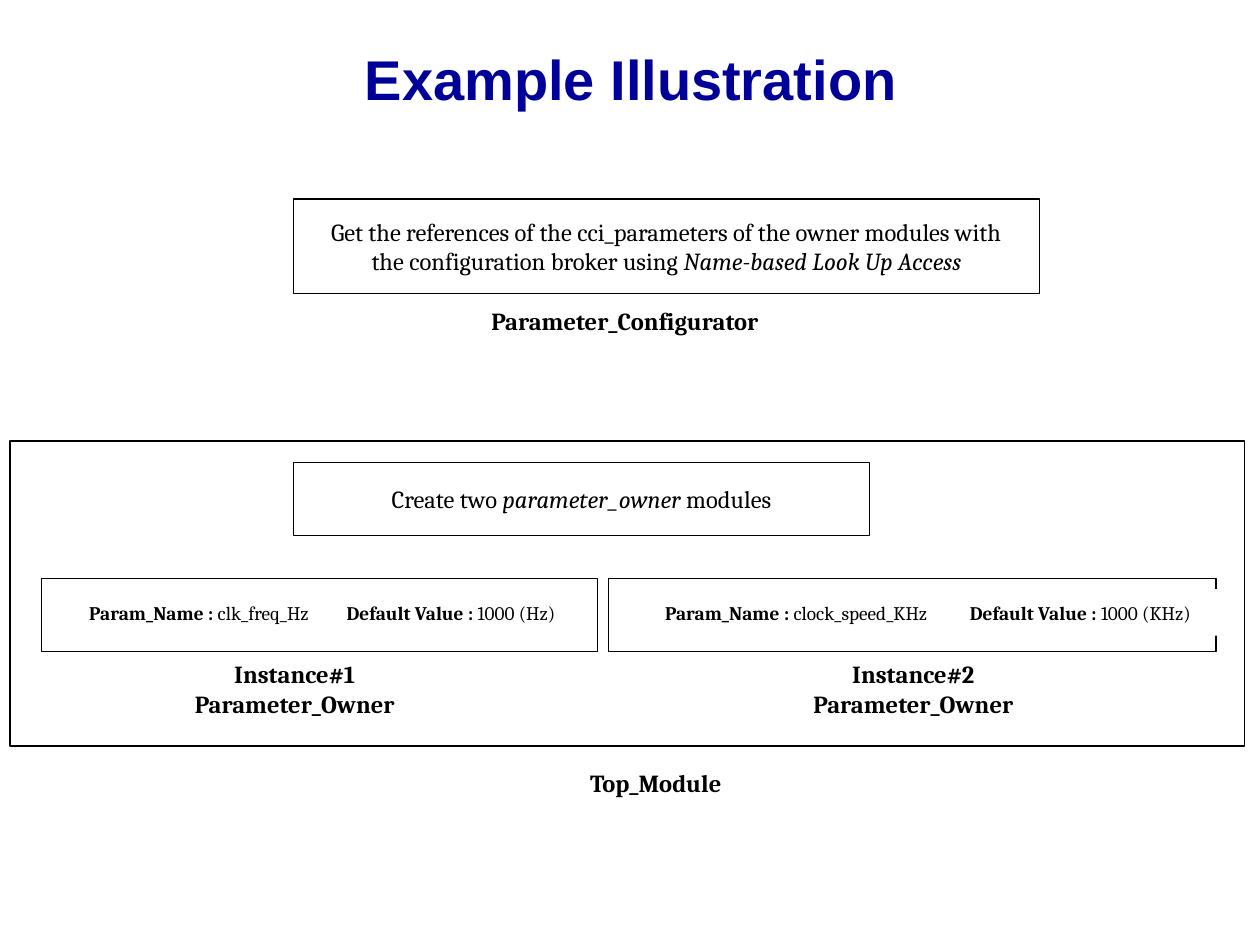
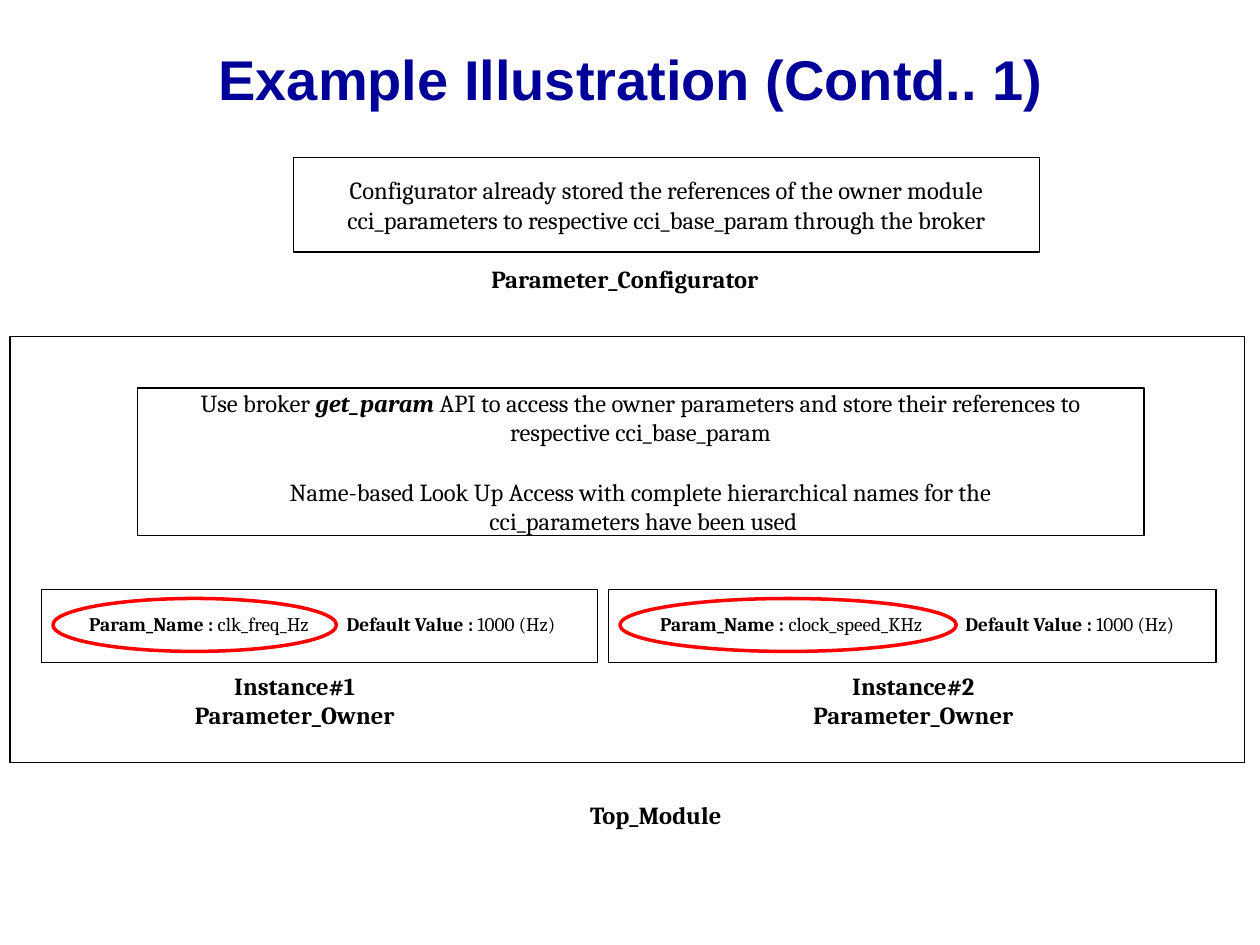
from dataclasses import dataclass
from pptx import Presentation
from pptx.dml.color import RGBColor
from pptx.enum.shapes import MSO_SHAPE as Shape
from pptx.enum.text import MSO_ANCHOR as Anchor, MSO_AUTO_SIZE as AutoSize, PP_ALIGN as Align
from pptx.util import Inches, Pt


@dataclass(frozen=True)
class Theme:
    title_color = RGBColor(0x00, 0x00, 0x99)
    ink = RGBColor(0, 0, 0)
    paper = RGBColor(255, 255, 255)
    highlight = RGBColor(255, 0, 0)
    title_font = "Arial"
    body_font = "Cambria"
    title_size = 32
    body_size = 14
    param_size = 11
    border = 0.75
    highlight_border = 2
    paragraph_gap = 17


THEME = Theme()

OWNERS = [
    dict(instance="Instance#1", param="clk_freq_Hz", left=0.33, width=4.41,
         name_left=0.49, value_left=2.58, caption_left=1.34,
         text_drop=0.11, text_height=0.33, ring=(0.42, 2.25)),
    dict(instance="Instance#2", param="clock_speed_KHz", left=4.83, width=4.82,
         name_left=4.98, value_left=7.49, caption_left=6.25,
         text_drop=0.085, text_height=0.37, ring=(4.92, 2.67)),
]

SLIDES = [
    dict(
        title="Example Illustration",
        configurator_top=1.58,
        configurator=[[
            ("Get the references of the cci_parameters of the owner modules with\n"
             "the configuration broker using ", ""),
            ("Name-based Look Up Access", "i"),
        ]],
        module=(3.5, 2.42),
        module_label=(6.01, 0.41),
        action_box=(2.33, 3.67, 4.57, 0.58),
        action=[[("Create two ", ""), ("parameter_owner", "i"), (" modules", "")]],
        owners_top=4.59,
        defaults=["1000 (Hz)", "1000 (KHz)"],
        name_widths=[2.18, 2.68],
        value_widths=[2, 2.17],
        highlighted=False,
    ),
    dict(
        title="Example Illustration (Contd.. 1)",
        configurator_top=1.25,
        configurator=[[
            ("Configurator already stored the references of the owner module\n"
             "cci_parameters to respective cci_base_param through the broker", ""),
        ]],
        module=(2.67, 3.38),
        module_label=(6.18, 0.57),
        action_box=(1.09, 3.08, 7.99, 1.17),
        action=[
            [("Use broker ", ""), ("get_param", "bi"),
             (" API to access the owner parameters and store their references to\n"
              "respective cci_base_param", "")],
            [("Name-based Look Up Access with complete hierarchical names for the\n"
              " cci_parameters have been used", "")],
        ],
        owners_top=4.68,
        defaults=["1000 (Hz)", "1000 (Hz)"],
        name_widths=[2.18, 2.6],
        value_widths=[2, 2],
        highlighted=True,
    ),
]


def write_run(paragraph, text, style, size, font=THEME.body_font, color=THEME.ink):
    for number, line in enumerate(text.split("\n")):
        if number:
            paragraph.add_line_break()
        run = paragraph.add_run()
        run.text = line
        run.font.name = font
        run.font.size = Pt(size)
        run.font.bold = "b" in style
        run.font.italic = "i" in style
        run.font.color.rgb = color


def set_frame(frame, wrap):
    frame.auto_size = AutoSize.NONE
    frame.word_wrap = wrap
    frame.vertical_anchor = Anchor.MIDDLE
    frame.margin_left = frame.margin_right = Inches(0.1)
    frame.margin_top = frame.margin_bottom = Inches(0.05)


def add_title(slide, text):
    title = slide.shapes.title
    title.left, title.top, title.width, title.height = map(Inches, (0.26, 0.16, 9.5, 1))
    set_frame(title.text_frame, True)
    paragraph = title.text_frame.paragraphs[0]
    paragraph.alignment = Align.CENTER
    paragraph.line_spacing = 0.85
    write_run(paragraph, text, "b", THEME.title_size, THEME.title_font, THEME.title_color)


def add_box(slide, place, paragraphs=(), size=THEME.body_size, bordered=True):
    box = slide.shapes.add_shape(Shape.ROUNDED_RECTANGLE, *map(Inches, place))
    box.adjustments[0] = 0
    box.shadow.inherit = False
    box.fill.solid()
    box.fill.fore_color.rgb = THEME.paper
    if bordered:
        box.line.color.rgb = THEME.ink
        box.line.width = Pt(THEME.border)
    else:
        box.line.fill.background()
    frame = box.text_frame
    set_frame(frame, not bordered)
    for number, runs in enumerate(paragraphs):
        paragraph = frame.add_paragraph() if number else frame.paragraphs[0]
        paragraph.alignment = Align.CENTER
        if number:
            paragraph.space_before = Pt(THEME.paragraph_gap)
        for text, style in runs:
            write_run(paragraph, text, style, size)


def add_label(slide, place, text):
    add_box(slide, place, [[(text, "b")]], bordered=False)


def add_ring(slide, left, top, width):
    ring = slide.shapes.add_shape(Shape.OVAL, *map(Inches, (left, top, width, 0.42)))
    ring.shadow.inherit = False
    ring.fill.background()
    ring.line.color.rgb = THEME.highlight
    ring.line.width = Pt(THEME.highlight_border)


def add_owner(slide, owner, top, default, name_width, value_width):
    add_box(slide, (owner["left"], top, owner["width"], 0.58))
    fields = [
        ("Param_Name :", owner["param"], owner["name_left"], name_width),
        ("Default Value :", default, owner["value_left"], value_width),
    ]
    for field, value, left, width in fields:
        place = (left, top + owner["text_drop"], width, owner["text_height"])
        add_box(slide, place, [[(field, "b"), (f" {value}", "")]],
                THEME.param_size, bordered=False)
    add_label(slide, (owner["caption_left"], top + 0.67, 2, 0.41),
              f"{owner['instance']}\nParameter_Owner")


def build_slide(deck, content):
    slide = deck.slides.add_slide(deck.slide_layouts[5])
    add_title(slide, content["title"])

    module_top, module_height = content["module"]
    add_box(slide, (0.08, module_top, 9.8, module_height))
    label_top, label_height = content["module_label"]
    add_label(slide, (4.33, label_top, 1.75, label_height), "Top_Module")

    top = content["configurator_top"]
    add_box(slide, (2.33, top, 5.92, 0.75), content["configurator"])
    add_label(slide, (3.67, top + 0.76, 2.58, 0.41), "Parameter_Configurator")

    add_box(slide, content["action_box"], content["action"])

    owners_top = content["owners_top"]
    for owner, default, name_width, value_width in zip(
            OWNERS, content["defaults"], content["name_widths"], content["value_widths"]):
        add_owner(slide, owner, owners_top, default, name_width, value_width)
        if content["highlighted"]:
            left, width = owner["ring"]
            add_ring(slide, left, owners_top + 0.07, width)


def main():
    deck = Presentation()
    deck.slide_width, deck.slide_height = Inches(10), Inches(7.5)
    for content in SLIDES:
        build_slide(deck, content)
    deck.save("out.pptx")


if __name__ == "__main__":
    main()
